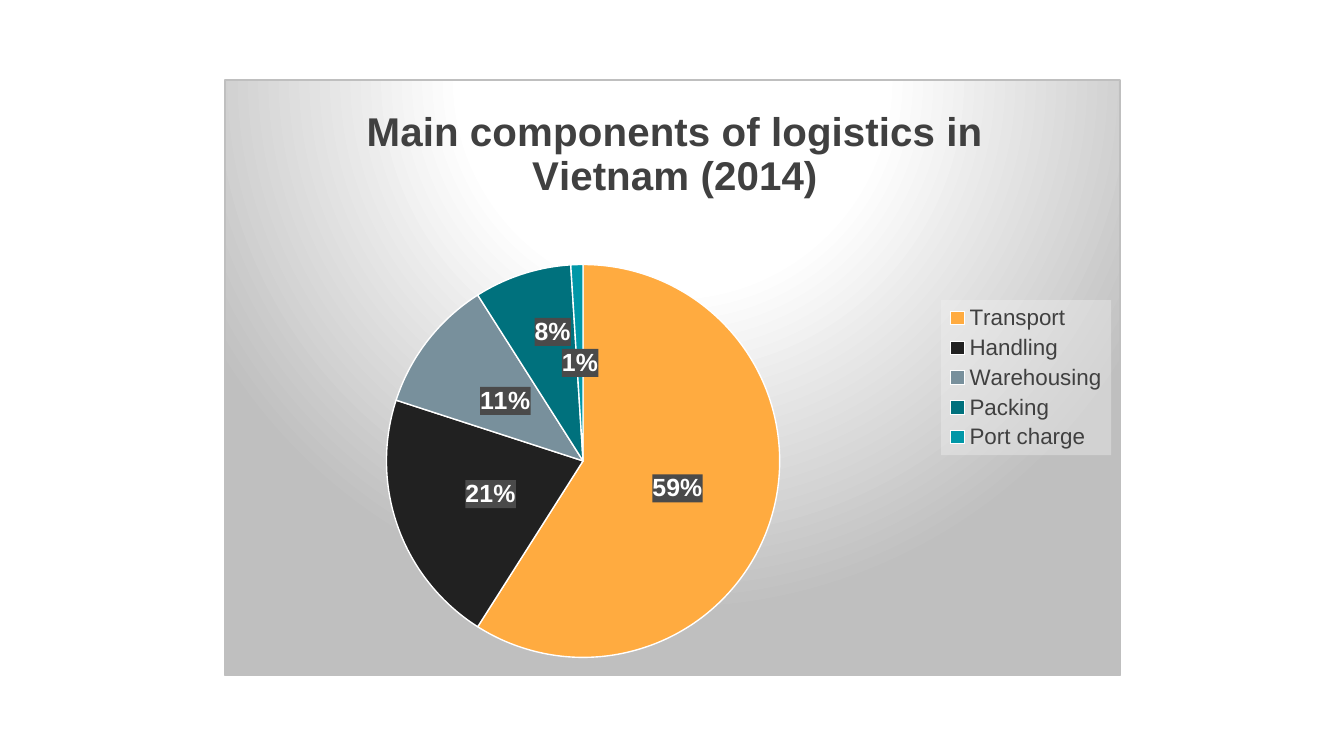
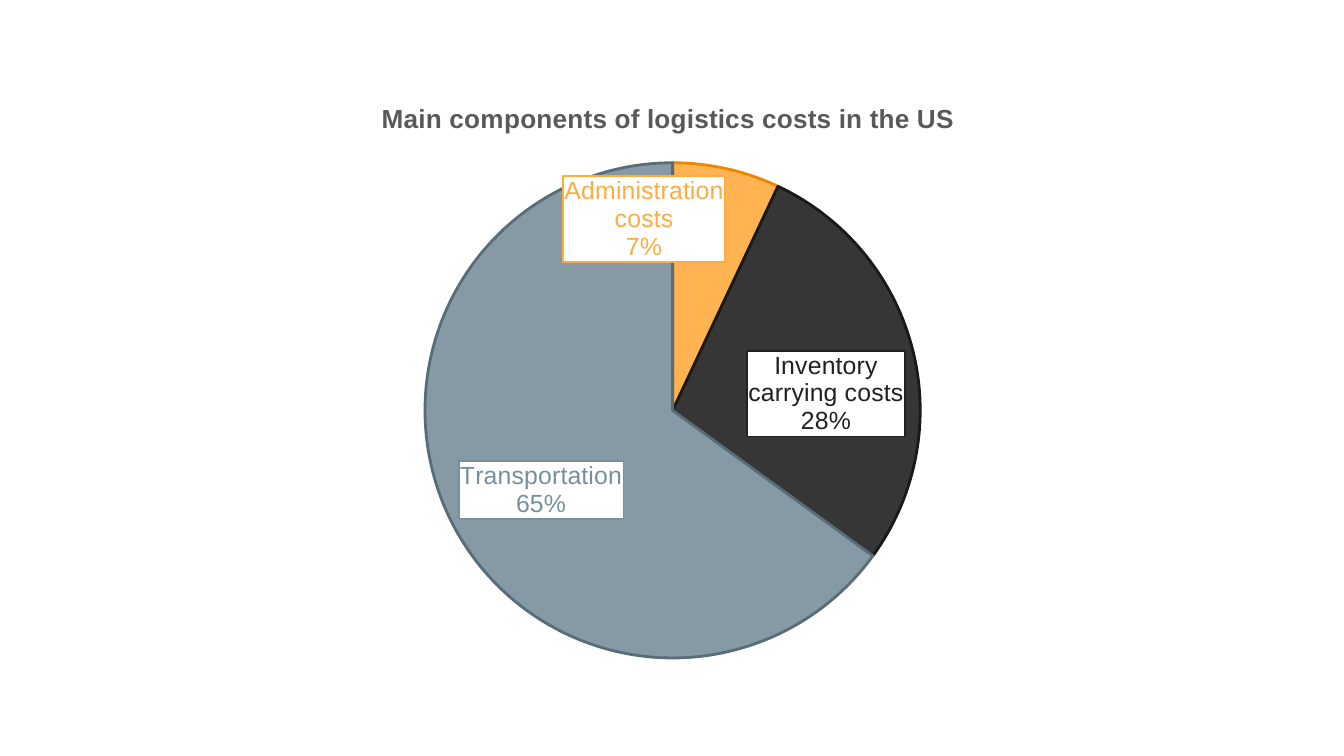
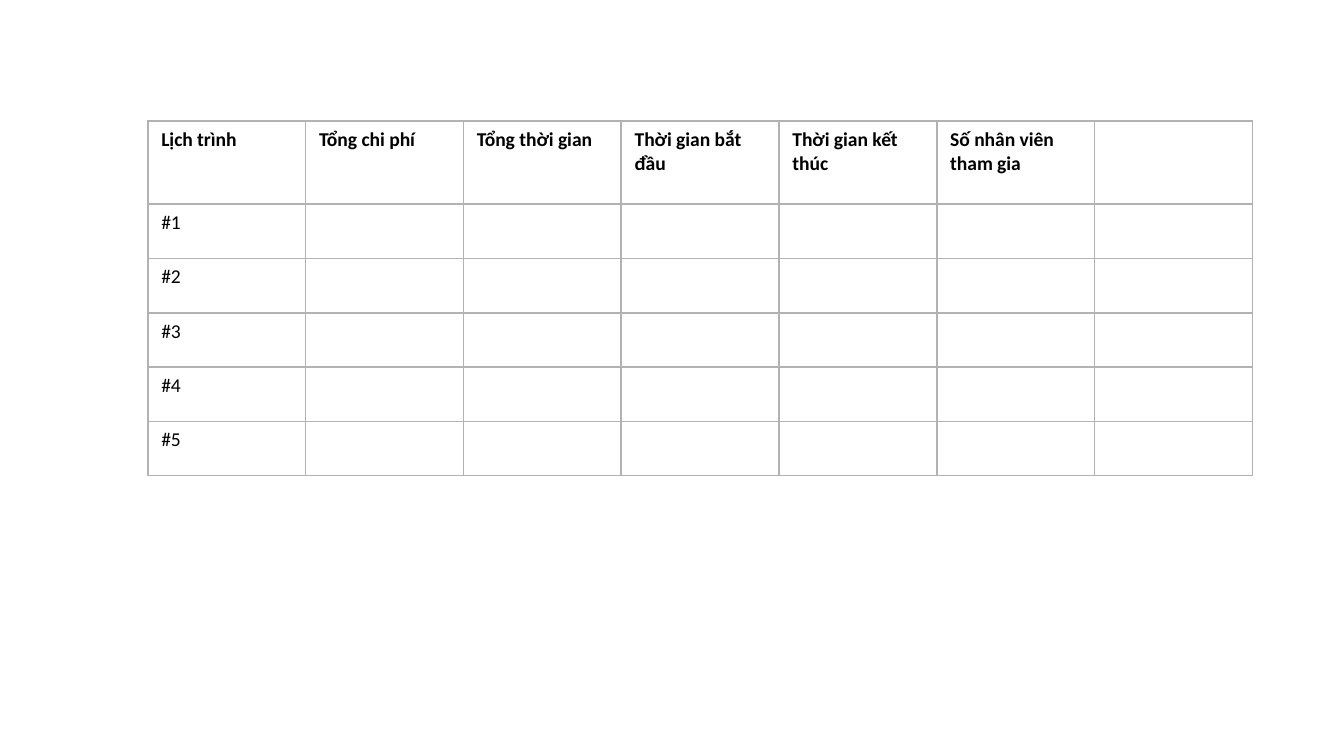
import pptx
import pptx.util
import pptx.chart.data
import pptx.dml.color
import pptx.enum.chart
import pptx.oxml
import pptx.oxml.ns

INCH = pptx.util.Inches
PT = pptx.util.Pt
SPOT = pptx.enum.chart.XL_LABEL_POSITION
SPACES = pptx.oxml.ns.nsdecls("a", "c")
QN = pptx.oxml.ns.qn
FRAME = (1.67, 0.59, 6.67, 4.44)
AMBER, INK, SLATE, TEAL, CYAN = "FFAB40", "212121", "78909C", "00717D", "0097A7"
WHITE, BLACK, GREY, SILVER = "FFFFFF", "000000", "404040", "BFBFBF"


def color(code):
    return pptx.dml.color.RGBColor.from_string(code)


def style(font, **form):
    form = {"name": "Arial", **form}
    form["size"] = PT(form["size"])
    font.color.rgb = color(form.pop("color"))
    for key, value in form.items():
        setattr(font, key, value)


def solid(code, alpha=100):
    return (f'<a:solidFill><a:srgbClr val="{code}">'
            f'<a:alpha val="{alpha * 1000}"/></a:srgbClr></a:solidFill>')


def glow():
    stops = "".join(
        f'<a:gs pos="{spot * 1000}"><a:srgbClr val="{code}"/></a:gs>'
        for spot, code in ((0, WHITE), (39, WHITE), (100, SILVER)))
    return (f'<a:gradFill><a:gsLst>{stops}</a:gsLst><a:path path="circle">'
            '<a:fillToRect l="50000" t="-80000" r="50000" b="180000"/>'
            '</a:path></a:gradFill>')


def paint(node, fill, edge=None, width=0.75):
    line = solid(edge) if edge else "<a:noFill/>"
    node.find(QN("c:txPr")).addprevious(pptx.oxml.parse_xml(
        f'<c:spPr {SPACES}>{fill}<a:ln w="{PT(width)}">{line}</a:ln></c:spPr>'))


def place(node, after=None, inner=False, mode="edge", **spots):
    for old in node.findall(QN("c:layout")):
        node.remove(old)
    target = '<c:layoutTarget val="inner"/>' if inner else ""
    modes = "".join(f'<c:{key}Mode val="{mode}"/>' for key in "xy")
    sizes = "".join(f'<c:{key} val="{value}"/>' for key, value in spots.items())
    layout = pptx.oxml.parse_xml(
        f'<c:layout {SPACES}><c:manualLayout>{target}{modes}{sizes}'
        '</c:manualLayout></c:layout>')
    if after:
        node.find(QN(after)).addnext(layout)
    else:
        node.insert(0, layout)


def add_pie(slide, items, title, look, head, plot):
    data = pptx.chart.data.CategoryChartData()
    data.categories = list(items)
    data.add_series("Series 1", list(items.values()))
    kind = pptx.enum.chart.XL_CHART_TYPE.PIE
    chart = slide.shapes.add_chart(kind, *map(INCH, FRAME), data).chart
    style(chart.font, size=10, color=BLACK)
    chart.has_legend = False
    chart.has_title = True
    frame = chart.chart_title.text_frame
    frame.text = title
    style(frame.paragraphs[0].runs[0].font, bold=True, **look)
    place(chart.chart_title._element, "c:tx", **head)
    place(chart._chartSpace.chart.plotArea, inner=True, **plot)
    chart.plots[0].vary_by_categories = True
    return chart


def color_points(chart, codes, edges, width, alpha=100):
    for spot, (code, edge) in enumerate(zip(codes, edges)):
        form = chart.plots[0].series[0].points[spot].format
        form.fill.solid()
        form.fill.fore_color.rgb = color(code)
        form.line.color.rgb = color(edge)
        form.line.width = PT(width)
        tint = form.fill._xPr.find(QN("a:solidFill"))[0]
        tint.append(pptx.oxml.parse_xml(
            f'<a:alpha {SPACES} val="{alpha * 1000}"/>'))


def add_labels(chart, spot, **look):
    labels = chart.plots[0].series[0].data_labels
    style(labels.font, size=13.3, **look)
    form = {"show_percentage": True, "show_value": False, "position": spot,
            "number_format": "0%", "number_format_is_linked": False,
            "show_category_name": False, "show_legend_key": False}
    for key, value in form.items():
        setattr(labels, key, value)
    return labels


def add_label(chart, index, spot, named, **look):
    label = chart.plots[0].series[0].points[index].data_label
    style(label.font, size=13.3, **look)
    label.position = spot
    for name, flag in (("Val", 0), ("CatName", named), ("Percent", 1)):
        label._dLbl.find(QN("c:show" + name)).set("val", str(flag))
    return label._dLbl


def box_labels(chart, codes):
    add_labels(chart, SPOT.INSIDE_END, color=GREY).show_category_name = True
    for index, code in enumerate(codes):
        node = add_label(chart, index, SPOT.INSIDE_END, 1, color=code)
        paint(node, solid(WHITE), code, 1)


def dark_labels(chart, index, lift):
    look = {"color": WHITE, "bold": True}
    labels = add_labels(chart, SPOT.CENTER, **look)
    node = add_label(chart, index, SPOT.CENTER, 0, **look)
    place(node, "c:idx", mode="factor", x=0, y=-lift)
    for part in (labels._element, node):
        paint(part, solid("4A4A4A"))


def add_legend(chart):
    chart.has_legend = True
    legend = chart.legend
    legend.position = pptx.enum.chart.XL_LEGEND_POSITION.RIGHT
    legend.include_in_layout = False
    style(legend.font, size=12, color=GREY)
    place(legend._element, "c:legendPos", x=0.8, y=0.37, w=0.19, h=0.26)
    paint(legend._element, solid("F2F2F2", 39))


def add_grid(slide, heads, rows):
    count = len(heads)
    spot = map(INCH, (1.1, 0.9, 8.22, 2.64))
    table = slide.shapes.add_table(len(rows) + 1, count, *spot).table
    table.first_row = table.horz_banding = False
    for col in table.columns:
        col.width = INCH(8.22 / count)
    step = (2.64 - 0.62) / len(rows)
    for top, texts in enumerate([heads] + [[row] for row in rows]):
        table.rows[top].height = INCH(step if top else 0.62)
        for left in range(count):
            text = texts[left] if left < len(texts) else ""
            fill_cell(table.cell(top, left), text, top == 0)


def fill_cell(cell, text, bold):
    para = cell.text_frame.paragraphs[0]
    if text:
        run = para.add_run()
        run.text = text
        style(run.font, name="Calibri", size=10.5, color=BLACK, bold=bold)
    para._p.append(pptx.oxml.parse_xml(
        f'<a:endParaRPr {SPACES} sz="1050"/>'))
    cell.fill.background()
    for spot, side in enumerate("LRTB"):
        cell._tc.tcPr.insert(spot, pptx.oxml.parse_xml(
            f'<a:ln{side} {SPACES} w="{PT(1)}">{solid("B2B2B2")}</a:ln{side}>'))


def show_local(slide):
    items = {"Transport": 59, "Handling": 21, "Warehousing": 11,
             "Packing": 8, "Port charge": 1}
    chart = add_pie(slide, items, "Main components of logistics in Vietnam (2014)",
                    {"size": 21.6, "color": GREY}, {"x": 0.15, "y": 0.03},
                    {"x": 0.18, "y": 0.31, "w": 0.44, "h": 0.66})
    paint(chart._chartSpace, glow(), SILVER)
    color_points(chart, (AMBER, INK, SLATE, TEAL, CYAN), [WHITE] * 5, 0.75)
    dark_labels(chart, list(items).index("Packing"), 0.06)
    add_legend(chart)


def show_abroad(slide):
    items = {"Administration costs": 7, "Inventory carrying costs": 28,
             "Transportation": 65}
    codes = AMBER, INK, SLATE
    chart = add_pie(slide, items, "Main components of logistics costs in the US",
                    {"size": 14, "color": "595959"}, {"x": 0.17, "y": 0.03},
                    {"x": 0.22, "y": 0.14, "w": 0.56, "h": 0.83})
    color_points(chart, codes, ("EF8600", "191919", "586D78"), 1.5, 90)
    box_labels(chart, codes)


def show_plan(slide):
    heads = ["Lịch trình", "Tổng chi phí", "Tổng thời gian", "Thời gian bắt đầu",
             "Thời gian kết thúc", "Số nhân viên tham gia", ""]
    add_grid(slide, heads, [f"#{step}" for step in range(1, 6)])


def main():
    deck = pptx.Presentation()
    deck.slide_width = INCH(10)
    deck.slide_height = deck.slide_width * 9 // 16
    for show in (show_local, show_abroad, show_plan):
        show(deck.slides.add_slide(deck.slide_layouts[6]))
    deck.save("out.pptx")


main()
